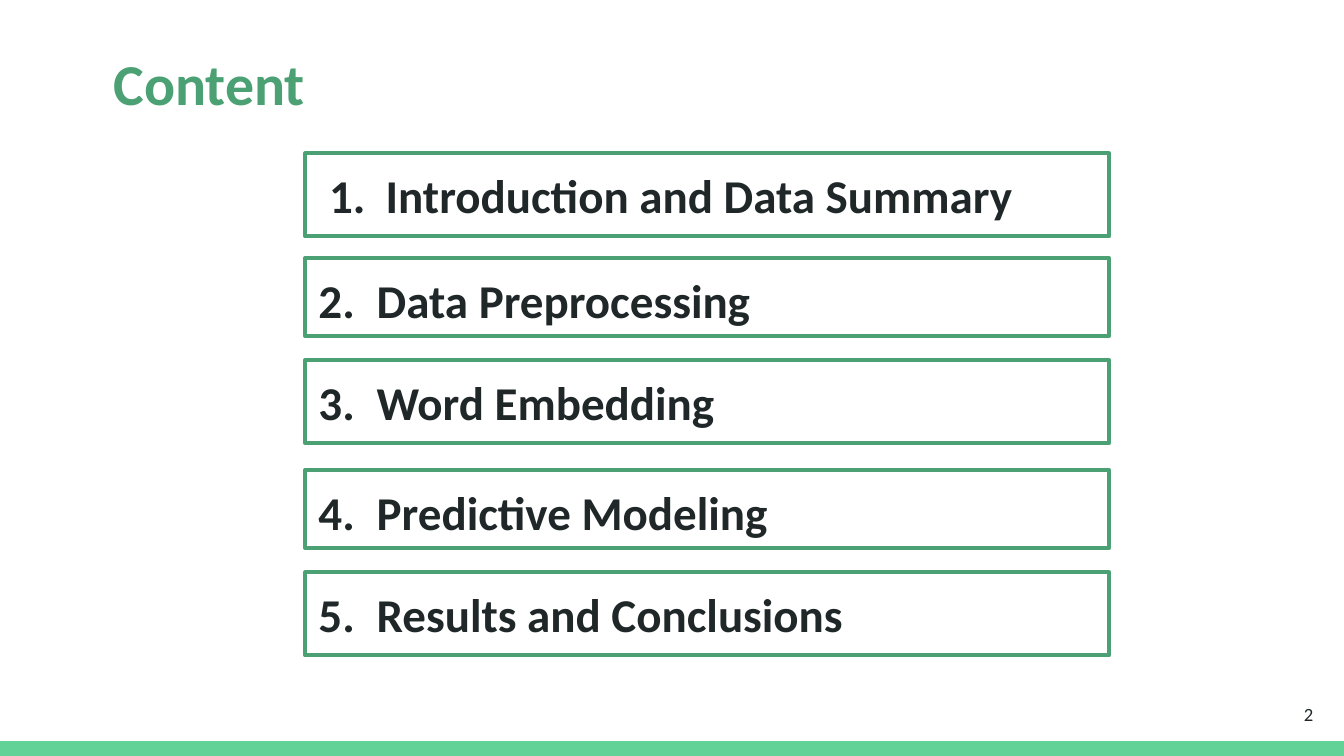
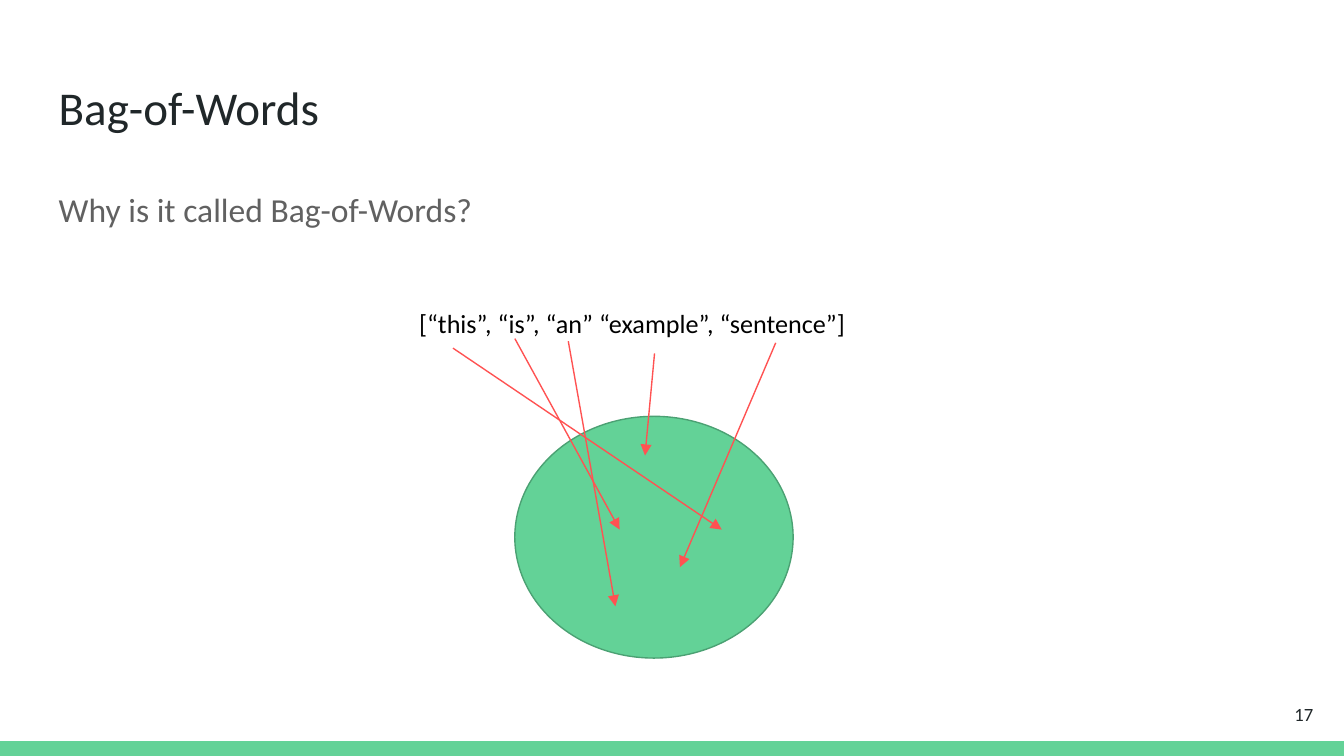
from dataclasses import dataclass

from lxml.etree import SubElement
from pptx import Presentation
from pptx.dml.color import RGBColor
from pptx.enum.shapes import MSO_CONNECTOR, MSO_SHAPE
from pptx.enum.text import MSO_ANCHOR, MSO_AUTO_SIZE, PP_ALIGN
from pptx.oxml.ns import qn
from pptx.shapes.autoshape import Shape
from pptx.slide import Slide
from pptx.util import Cm, Pt

FONT = "Calibri"
COLORS = {
    "band": "63D297",
    "accent": "4BA173",
    "ink": "202729",
    "body": "616161",
    "black": "000000",
    "arrow": "FF5252",
}
WIDTH, HEIGHT = 25.4, 14.29
BAND_TOP = 14.01
INSET = 0.25


@dataclass(frozen=True)
class Area:
    """Left, top, width and height in centimetres."""
    left: float
    top: float
    width: float
    height: float

    def lengths(self) -> tuple[Cm, Cm, Cm, Cm]:
        return Cm(self.left), Cm(self.top), Cm(self.width), Cm(self.height)


@dataclass(frozen=True)
class TextStyle:
    size: float
    color: str
    bold: bool = False


@dataclass(frozen=True)
class Chapter:
    title: str
    top: float
    height: float
    margin: float = 1.1
    hanging: float = 1.1


@dataclass(frozen=True)
class WordArrow:
    """Start and end points in centimetres."""
    x1: float
    y1: float
    x2: float
    y2: float


CONTENT_TITLE = TextStyle(31, "accent", True)
TOPIC_TITLE = TextStyle(25.2, "ink")
CHAPTER = TextStyle(25.2, "ink", True)
QUESTION = TextStyle(18, "body")
TOKENS = TextStyle(14, "black")
PAGE_NUMBER = TextStyle(10, "ink")

CHAPTER_LEFT, CHAPTER_WIDTH = 5.77, 15.19
CHAPTERS = [
    Chapter("Introduction and Data Summary", 2.9, 1.57, 1.27, 1.07),
    Chapter("Data Preprocessing", 4.88, 1.47),
    Chapter("Word Embedding", 6.81, 1.57),
    Chapter("Predictive Modeling", 8.89, 1.47),
    Chapter("Results and Conclusions", 10.82, 1.57),
]
WORD_ARROWS = [
    WordArrow(8.56, 6.58, 13.64, 10.01),
    WordArrow(9.73, 6.4, 11.71, 10.01),
    WordArrow(10.74, 6.45, 11.63, 11.46),
    WordArrow(12.37, 6.68, 12.19, 8.61),
    WordArrow(14.66, 6.48, 12.85, 10.72),
]


def rgb(name: str) -> RGBColor:
    return RGBColor.from_string(COLORS[name])


def write(shape: Shape, text: str, style: TextStyle) -> None:
    frame = shape.text_frame
    frame.word_wrap = True
    frame.vertical_anchor = MSO_ANCHOR.TOP
    frame.margin_left = frame.margin_right = Cm(INSET)
    frame.margin_top = frame.margin_bottom = Cm(INSET)
    frame.text = text
    paragraph = frame.paragraphs[0]
    paragraph.alignment = PP_ALIGN.LEFT
    for run in paragraph.runs:
        run.font.name = FONT
        run.font.size = Pt(style.size)
        run.font.bold = style.bold
        run.font.color.rgb = rgb(style.color)


def add_text(slide: Slide, area: Area, text: str, style: TextStyle) -> Shape:
    box = slide.shapes.add_textbox(*area.lengths())
    write(box, text, style)
    return box


def add_figure(slide: Slide, kind: MSO_SHAPE, area: Area, fill: str | None = None,
               line: str | None = None, weight: float = 0.75) -> Shape:
    figure = slide.shapes.add_shape(kind, *area.lengths())
    figure.shadow.inherit = False
    if fill:
        figure.fill.solid()
        figure.fill.fore_color.rgb = rgb(fill)
    else:
        figure.fill.background()
    if line:
        figure.line.color.rgb = rgb(line)
        figure.line.width = Pt(weight)
    else:
        figure.line.fill.background()
    return figure


def add_page(deck: Presentation, number: int, title: str, area: Area, style: TextStyle) -> Slide:
    """Start a slide with its band, title and page number."""
    slide = deck.slides.add_slide(deck.slide_layouts[6])
    add_figure(slide, MSO_SHAPE.RECTANGLE, Area(0, BAND_TOP, WIDTH, HEIGHT - BAND_TOP), "band")
    add_text(slide, area, title, style)
    page = add_text(slide, Area(23.55, 12.95, 1.52, 1.09), str(number), PAGE_NUMBER)
    page.text_frame.vertical_anchor = MSO_ANCHOR.MIDDLE
    page.text_frame.paragraphs[0].alignment = PP_ALIGN.RIGHT
    return slide


def add_chapter(slide: Slide, number: int, chapter: Chapter) -> None:
    area = Area(CHAPTER_LEFT, chapter.top, CHAPTER_WIDTH, chapter.height)
    frame = add_figure(slide, MSO_SHAPE.RECTANGLE, area, line="accent", weight=2.25)
    write(frame, chapter.title, CHAPTER)
    # Automatic number with a hanging indent
    properties = frame.text_frame.paragraphs[0]._p.get_or_add_pPr()
    properties.set("marL", str(Cm(chapter.margin)))
    properties.set("indent", str(-Cm(chapter.hanging)))
    number_color = SubElement(properties, qn("a:buClr"))
    SubElement(number_color, qn("a:srgbClr"), val=COLORS["ink"])
    SubElement(properties, qn("a:buFont"), typeface=FONT)
    SubElement(properties, qn("a:buAutoNum"), type="arabicPeriod", startAt=str(number))


def add_word_arrow(slide: Slide, arrow: WordArrow) -> None:
    connector = slide.shapes.add_connector(
        MSO_CONNECTOR.STRAIGHT, Cm(arrow.x1), Cm(arrow.y1), Cm(arrow.x2), Cm(arrow.y2))
    connector.line.color.rgb = rgb("arrow")
    connector.line.width = Pt(0.75)
    SubElement(connector.line._get_or_add_ln(), qn("a:tailEnd"),
               type="triangle", w="med", len="med")
    SubElement(connector._element.spPr, qn("a:effectLst"))


def build_content(deck: Presentation) -> None:
    slide = add_page(deck, 2, "Content", Area(1.9, 0.66, 22.56, 2.16), CONTENT_TITLE)
    for number, chapter in enumerate(CHAPTERS, start=1):
        add_chapter(slide, number, chapter)


def build_bag_of_words(deck: Presentation) -> None:
    slide = add_page(deck, 17, "Bag-of-Words", Area(0.86, 1.24, 23.67, 1.6), TOPIC_TITLE)
    question = add_text(slide, Area(0.86, 3.2, 23.67, 9.5),
                        "Why is it called Bag-of-Words?", QUESTION)
    question.text_frame.paragraphs[0].line_spacing = 1.15

    # The bag and the words that fall into it
    add_figure(slide, MSO_SHAPE.OVAL, Area(9.73, 7.87, 5.26, 4.57), "band", "accent")
    tokens = add_text(slide, Area(7.67, 5.56, 9.4, 1.12),
                      "[“this”, “is”, “an” “example”, “sentence”]", TOKENS)
    tokens.text_frame.auto_size = MSO_AUTO_SIZE.SHAPE_TO_FIT_TEXT
    for arrow in WORD_ARROWS:
        add_word_arrow(slide, arrow)


def main() -> None:
    deck = Presentation()
    deck.slide_width, deck.slide_height = Cm(WIDTH), Cm(HEIGHT)
    build_content(deck)
    build_bag_of_words(deck)
    deck.save("out.pptx")


if __name__ == "__main__":
    main()
